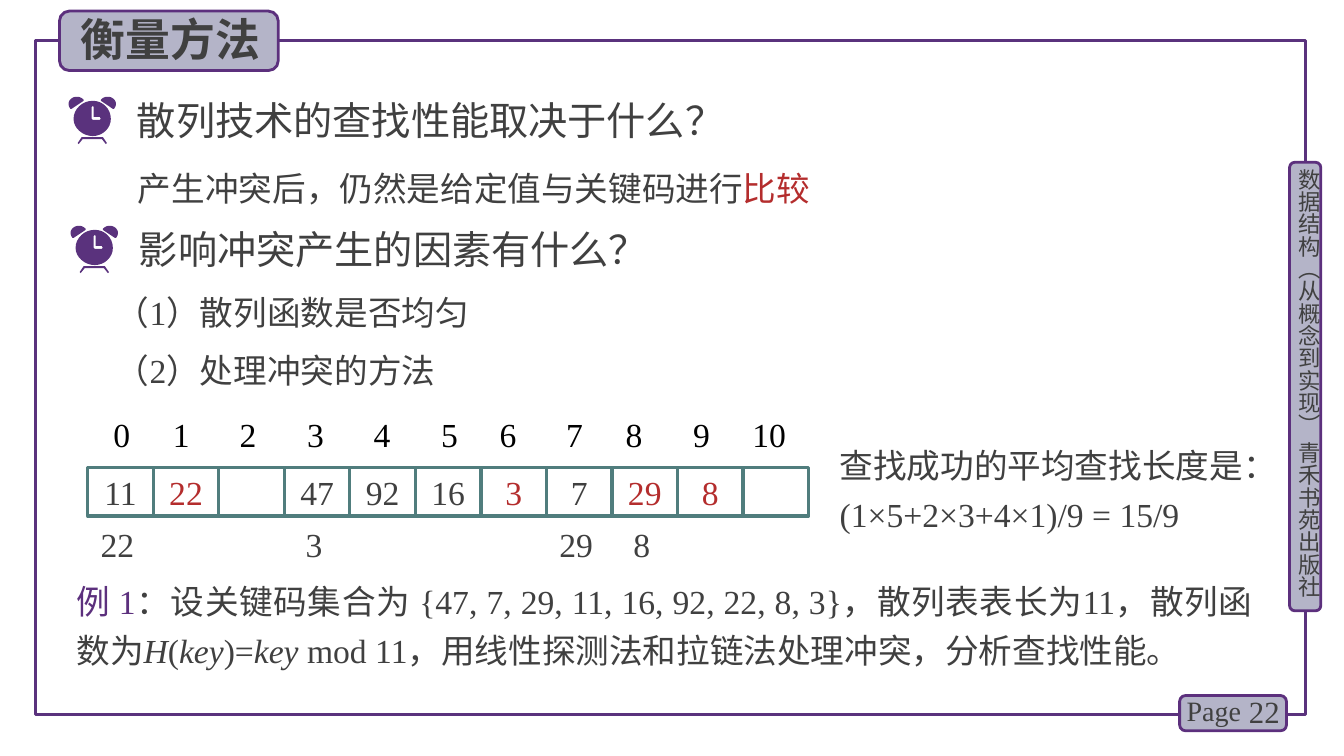
import pptx
import pptx.dml.color
import pptx.enum.shapes
import pptx.enum.text
import pptx.oxml
import pptx.oxml.ns
import pptx.util
from dataclasses import dataclass


@dataclass(frozen=True)
class Theme:
    purple: str = "5A327D"
    edge: str = "5C307D"
    panel: str = "B4B4C8"
    ink: str = "404040"
    red: str = "B42D2D"
    teal: str = "507D7D"
    black: str = "000000"
    serif: str = "Times New Roman"
    sans: str = "Noto Sans CJK SC"
    title: int = 32
    question: int = 28
    body: int = 24
    number: int = 22
    page: int = 20
    side: int = 16


THEME = Theme()
SCALE = 9144
SIZE = (1333, 750)
ALIGN = pptx.enum.text.PP_ALIGN
ANCHOR = pptx.enum.text.MSO_ANCHOR
SHAPE = pptx.enum.shapes.MSO_SHAPE

TITLE = "衡量方法"
SIDE = "数据结构（从概念到实现） 青禾书苑出版社"
QUESTIONS = [
    ("散列技术的查找性能取决于什么？", 68, 96),
    ("影响冲突产生的因素有什么？", 70, 224),
]
ANSWER = [[("产生冲突后，仍然是给定值与关键码进行", {}), ("比较", {"color": THEME.red})]]
FACTORS = ["（1）散列函数是否均匀", "（2）处理冲突的方法"]
EXAMPLE = [[
    ("例 1", {"color": THEME.edge}),
    ("：设关键码集合为 {47, 7, 29, 11, 16, 92, 22, 8, 3}，散列表表长为11，散列函数为", {}),
    ("H", {"italic": True}), ("(", {}), ("key", {"italic": True}), (")=", {}),
    ("key", {"italic": True}),
    (" mod 11，用线性探测法和拉链法处理冲突，分析查找性能。", {}),
]]
RESULT = ["查找成功的平均查找长度是：", "(1×5+2×3+4×1)/9 = 15/9"]
SLOTS = ["11", "22", "", "47", "92", "16", "3", "7", "29", "8", ""]
PROBED = {1, 6, 8, 9}
COLLIDED = {0: "22", 3: "3", 7: "29", 8: "8"}
INDEX_TABS = [24, 83, 149, 216, 282, 349, 407, 473, 532, 599, 666]
TABLE_LEFT, TABLE_TOP, CELL_WIDTH, CELL_HEIGHT = 87, 464, 65, 48

CLOCK_WIDTH = 47
FEET = [[(9, 46), (13, 40), (34, 40), (38, 46), (37, 47), (33, 42), (14, 42), (10, 47)]]
BELL = [[(8, 0), (4, 0, 0, 3, 0, 7), (0, 9, 1, 11, 2, 12), (3, 12), (15, 4), (15, 3),
         (13, 1, 11, 0, 8, 0)]]
FACE = [
    [(24, 4), (14, 4, 5, 12, 5, 22), (5, 31, 14, 39, 24, 39),
     (34, 39, 42, 31, 42, 22), (42, 12, 34, 4, 24, 4)],
    [(31, 23), (24, 23), (23, 22), (23, 10), (24, 9), (25, 10), (25, 20), (31, 20), (32, 22)],
]


def px(value):
    return pptx.util.Emu(round(value * SCALE))


def rgb(value):
    return pptx.dml.color.RGBColor.from_string(value)


def element(tag, content="", attributes=""):
    names = pptx.oxml.ns.nsdecls("a")
    return pptx.oxml.parse_xml(f"<a:{tag} {names} {attributes}>{content}</a:{tag}>")


def write(frame, paragraphs, size=THEME.body, face=THEME.serif, color=THEME.ink, bold=False,
          line=None, align=ALIGN.LEFT, anchor=ANCHOR.TOP, inset=(10, 5), extra=()):
    frame.word_wrap = True
    frame.auto_size = pptx.enum.text.MSO_AUTO_SIZE.NONE
    frame.vertical_anchor = anchor
    frame.margin_left = frame.margin_right = px(inset[0])
    frame.margin_top = frame.margin_bottom = px(inset[1])
    for number, content in enumerate(paragraphs):
        para = frame.add_paragraph() if number else frame.paragraphs[0]
        if extra:
            para._p.get_or_add_pPr().append(element(*extra))
        para.alignment = align
        para.space_before = pptx.util.Pt(0)
        if line:
            para.line_spacing = pptx.util.Pt(line)
        for text, style in [(content, {})] if isinstance(content, str) else content:
            span = para.add_run()
            span.text = text
            span.font.name = face
            span.font.size = pptx.util.Pt(size)
            span.font.bold = bold
            span.font.italic = style.get("italic", False)
            span.font.color.rgb = rgb(style.get("color", color))
            latin = span._r.rPr.find(pptx.oxml.ns.qn("a:latin"))
            latin.addnext(element("ea", attributes=f'typeface="{THEME.sans}"'))


def place(shape, left, top, width, height):
    shape.left, shape.top, shape.width, shape.height = map(px, (left, top, width, height))


def add_text(page, at, paragraphs, **style):
    box = page.shapes.add_textbox(*map(px, at))
    write(box.text_frame, paragraphs, **style)
    return box


def add_box(page, kind, at, fill, edge, width):
    box = page.shapes.add_shape(kind, *map(px, at))
    box.shadow.inherit = False
    if fill:
        box.fill.solid()
        box.fill.fore_color.rgb = rgb(fill)
    else:
        box.fill.background()
    box.line.color.rgb = rgb(edge)
    box.line.width = pptx.util.Pt(width)
    return box


def trace(contour, steps=8):
    points = [contour[0]]
    for part in contour[1:]:
        if len(part) == 2:
            points.append(part)
            continue
        knots = [points[-1], part[:2], part[2:4], part[4:]]
        for step in range(1, steps + 1):
            t = step / steps
            weights = ((1 - t) ** 3, 3 * t * (1 - t) ** 2, 3 * t * t * (1 - t), t ** 3)
            points.append(tuple(sum(w * knot[axis] for w, knot in zip(weights, knots))
                                for axis in (0, 1)))
    return points


def add_clock(page, left, top):
    clock = page.shapes.add_group_shape()
    for contours, mirrored in ((FEET, False), (BELL, False), (BELL, True), (FACE, False)):
        builder = None
        for contour in contours:
            points = [(px(left + (CLOCK_WIDTH - x if mirrored else x)), px(top + y))
                      for x, y in trace(contour)]
            if builder:
                builder.move_to(*points[0])
            else:
                builder = clock.shapes.build_freeform(*points[0], scale=1.0)
            builder.add_line_segments(points[1:], close=True)
        part = builder.convert_to_shape()
        part.shadow.inherit = False
        part.fill.solid()
        part.fill.fore_color.rgb = rgb(THEME.purple)
        part.line.fill.background()


def add_hash_table(page):
    tabs = "".join(f'<a:tab pos="{px(stop)}" algn="ctr"/>' for stop in INDEX_TABS)
    labels = "".join(f"\t{index}" for index in range(len(SLOTS)))
    add_text(page, (87, 411, 711, 39), [labels], color=THEME.black, inset=(10, 0),
             extra=("tabLst", tabs))
    for index, key in enumerate(SLOTS):
        left = TABLE_LEFT + index * CELL_WIDTH
        cell = add_box(page, SHAPE.RECTANGLE, (left, TABLE_TOP, CELL_WIDTH, CELL_HEIGHT),
                       None, THEME.teal, 2.25)
        if key:
            write(cell.text_frame, [key], color=THEME.red if index in PROBED else THEME.ink,
                  align=ALIGN.CENTER, anchor=ANCHOR.MIDDLE, inset=(0, 0))
        if index in COLLIDED:
            add_text(page, (left - 3, 520, CELL_WIDTH, 39), [COLLIDED[index]],
                     align=ALIGN.CENTER, inset=(0, 0))


def main():
    deck = pptx.Presentation()
    deck.slide_width, deck.slide_height = map(px, SIZE)
    page = deck.slides.add_slide(deck.slide_layouts[1])
    title, factors = page.shapes.title, page.placeholders[1]

    add_box(page, SHAPE.RECTANGLE, (35, 40, 1260, 669), None, THEME.purple, 2.25)
    for at in ((1279, 161, 31, 445), (1170, 690, 106, 35), (59, 11, 217, 59)):
        add_box(page, SHAPE.ROUNDED_RECTANGLE, at, THEME.panel, THEME.edge, 2)
    side = add_text(page, (1285, 167, 27, 449), [SIDE], size=THEME.side, face=THEME.sans,
                    inset=(0, 0))
    side.text_frame._txBody.bodyPr.set("vert", "eaVert")
    add_text(page, (1220, 686, 59, 40), ["22"], size=THEME.number, align=ALIGN.RIGHT,
             anchor=ANCHOR.MIDDLE)
    add_text(page, (1167, 683, 78, 44), ["Page"], size=THEME.page)

    place(title, 70, 7, 225, 64)
    write(title.text_frame, [TITLE], size=THEME.title, face=THEME.sans, bold=True, line=38)
    title.element.getparent().append(title.element)

    for question, left, top in QUESTIONS:
        add_clock(page, left, top)
        add_text(page, (left + 58, top - 6, 991, 57), [question], size=THEME.question,
                 face=THEME.sans, line=34)
    add_text(page, (127, 153, 918, 59), ANSWER, face=THEME.sans, line=35)

    place(factors, 115, 268, 1136, 124)
    write(factors.text_frame, FACTORS, line=41, inset=(0, 5), extra=("buNone",))
    for para in factors.text_frame.paragraphs:
        para._p.pPr.set("marL", "0")
        para._p.pPr.set("indent", "0")

    add_text(page, (66, 563, 1186, 108), EXAMPLE, line=35, align=ALIGN.JUSTIFY)
    add_hash_table(page)
    add_text(page, (823, 428, 469, 108), RESULT, line=35, align=ALIGN.JUSTIFY)
    deck.save("out.pptx")


if __name__ == "__main__":
    main()
